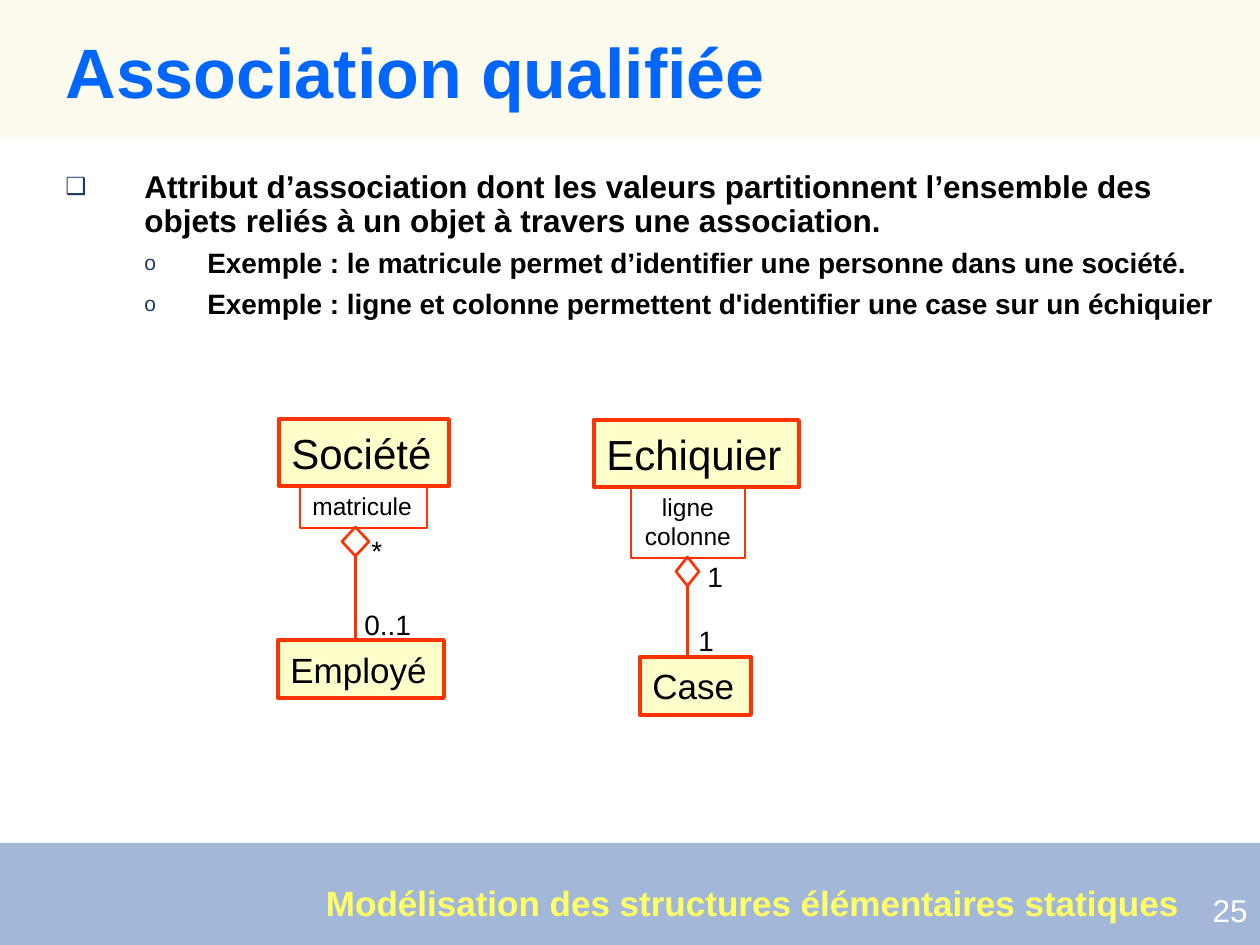
import pptx
import pptx.util
import pptx.dml.color
import pptx.enum.shapes
import pptx.enum.text
import pptx.oxml.ns
import lxml.etree

SCALE = 914400 / 126  # EMU per px
THEME = {
    "font": "Arial",
    "header": "FAF8D8", "footer": "3363A9", "band_alpha": 45,
    "title": "0066FF", "text": "000000", "bullet": "1C3862",
    "line": "FF3300", "class": "FFFFCC", "section": "FFFF66", "number": "FFFFFF",
    "title_pt": 40, "body_pt": 18, "example_pt": 16,
    "owner_pt": 24, "part_pt": 20, "qualifier_pt": 14, "role_pt": 16,
    "section_pt": 20, "number_pt": 18,
    "class_line": 2.25, "thin_line": 1.5,
}
SHAPES = pptx.enum.shapes.MSO_SHAPE
ALIGN = pptx.enum.text.PP_ALIGN
rgb = pptx.dml.color.RGBColor.from_string
qn = pptx.oxml.ns.qn


def write(shape, lines, size, color="text", bold=False, align=ALIGN.LEFT,
          wrap=False, inset=True):
    """Put the lines into the shape, one paragraph each."""
    frame = shape.text_frame
    frame.text = "\n".join(lines)
    frame_format = {"word_wrap": wrap, "vertical_anchor": pptx.enum.text.MSO_ANCHOR.MIDDLE}
    if not inset:
        frame_format.update(dict.fromkeys(
            ("margin_left", "margin_top", "margin_right", "margin_bottom"), 0))
    for name, value in frame_format.items():
        setattr(frame, name, value)
    font_format = {"name": THEME["font"], "size": pptx.util.Pt(THEME[size]), "bold": bold}
    for paragraph in frame.paragraphs:
        paragraph.alignment = align
        for name, value in font_format.items():
            setattr(paragraph.font, name, value)
        paragraph.font.color.rgb = rgb(THEME[color])


def draw(kind, box, fill=None, line=None):
    """Add a preset shape at a px box; line is a width name in the theme."""
    shape = slide.shapes.add_shape(kind, *(int(v * SCALE) for v in box))
    shape.shadow.inherit = False
    if fill:
        shape.fill.solid()
        shape.fill.fore_color.rgb = rgb(THEME[fill])
    else:
        shape.fill.background()
    if line:
        shape.line.color.rgb = rgb(THEME["line"])
        shape.line.width = pptx.util.Pt(THEME[line])
    else:
        shape.line.fill.background()
    return shape


deck = pptx.Presentation()
deck.slide_width, deck.slide_height = int(1260 * SCALE), int(945 * SCALE)
slide = deck.slides.add_slide(deck.slide_layouts[5])

# Translucent header and footer bands
for color, box in (("header", (0, 0, 1260, 137)), ("footer", (0, 843, 1260, 102))):
    band = draw(SHAPES.RECTANGLE, box, fill=color)
    tint = next(band.fill._xPr.iter(qn("a:srgbClr")))
    lxml.etree.SubElement(tint, qn("a:alpha"), val=str(THEME["band_alpha"] * 1000))

# Title, brought in front of the bands
title = slide.shapes.title
slide.shapes._spTree.append(title._element)
for side, px in {"left": 53, "top": 32, "width": 1181, "height": 88}.items():
    setattr(title, side, int(px * SCALE))
write(title, ["Association qualifiée"], "title_pt", "title", bold=True, wrap=True)
title.text_frame.paragraphs[0].line_spacing = 0.9

# Definition and examples: text, size, bullet, left indent, hanging indent
points = [
    ("Attribut d’association dont les valeurs partitionnent l’ensemble des objets "
     "reliés à un objet à travers une association.", "body_pt", "❑", 79, 79),
    ("Exemple : le matricule permet d’identifier une personne dans une société.",
     "example_pt", "o", 142, 63),
    ("Exemple : ligne et colonne permettent d'identifier une case sur un échiquier",
     "example_pt", "o", 142, 63),
]
definition = slide.shapes.add_textbox(*(int(v * SCALE) for v in (53, 165, 1182, 294)))
definition.text_frame.word_wrap = True
for index, (text, size, bullet, indent, hanging) in enumerate(points):
    frame = definition.text_frame
    paragraph = frame.add_paragraph() if index else frame.paragraphs[0]
    paragraph.text = text
    paragraph.line_spacing = 0.9
    paragraph.space_before = pptx.util.Pt(6 if index else 0)
    properties = paragraph._p.get_or_add_pPr()
    properties.set("marL", str(int(indent * SCALE)))
    properties.set("indent", str(-int(hanging * SCALE)))
    bullet_color = lxml.etree.SubElement(properties, qn("a:buClr"))
    lxml.etree.SubElement(bullet_color, qn("a:srgbClr"), val=THEME["bullet"])
    lxml.etree.SubElement(properties, qn("a:buSzPct"), val="75000")
    lxml.etree.SubElement(properties, qn("a:buFont"), typeface=THEME["font"])
    lxml.etree.SubElement(properties, qn("a:buChar"), char=bullet)
    font_format = {"name": THEME["font"], "size": pptx.util.Pt(THEME[size]), "bold": True}
    for name, value in font_format.items():
        setattr(paragraph.font, name, value)
    paragraph.font.color.rgb = rgb(THEME["text"])

# Qualified associations: owner class, qualifier, aggregation, part class
associations = [
    {"owner": ("Société", (279, 419, 170, 67)),
     "qualifier": (["matricule"], (300, 484, 127, 44), ALIGN.LEFT),
     "diamond": (342, 527, 27, 29),
     "part": ("Employé", (278, 640, 166, 58)),
     "roles": [("*", (359, 527, 36, 47)), ("0..1", (352, 601, 72, 47))]},
    {"owner": ("Echiquier", (594, 420, 205, 67)),
     "qualifier": (["ligne", "colonne"], (631, 484, 114, 74), ALIGN.CENTER),
     "diamond": (676, 557, 23, 29),
     "part": ("Case", (640, 657, 111, 58)),
     "roles": [("1", (695, 553, 40, 47)), ("1", (686, 617, 40, 47))]},
]
for association in associations:
    lines, box, align = association["qualifier"]
    qualifier = draw(SHAPES.RECTANGLE, box, line="thin_line")
    write(qualifier, lines, "qualifier_pt", align=align)

    left, top, width, height = association["diamond"]
    draw(SHAPES.DIAMOND, association["diamond"], line="thin_line")
    middle = left + width / 2
    link = slide.shapes.add_connector(
        pptx.enum.shapes.MSO_CONNECTOR.STRAIGHT,
        *(int(v * SCALE) for v in (middle, top + height, middle, association["part"][1][1])))
    link.line.color.rgb = rgb(THEME["line"])
    link.line.width = pptx.util.Pt(THEME["thin_line"])
    lxml.etree.SubElement(link._element.spPr, qn("a:effectLst"))

    for end in ("owner", "part"):
        name, box = association[end]
        write(draw(SHAPES.RECTANGLE, box, "class", "class_line"), [name], end + "_pt")
    for role, box in association["roles"]:
        label = slide.shapes.add_textbox(*(int(v * SCALE) for v in box))
        write(label, [role], "role_pt")

# Section name and slide number in the footer
section = slide.shapes.add_textbox(*(int(v * SCALE) for v in (326, 881, 854, 42)))
write(section, ["Modélisation des structures élémentaires statiques"],
      "section_pt", "section", bold=True, inset=False)
number = slide.shapes.add_textbox(*(int(v * SCALE) for v in (1137, 885, 123, 50)))
write(number, ["25"], "number_pt", "number", align=ALIGN.RIGHT, wrap=True)

deck.save("out.pptx")
